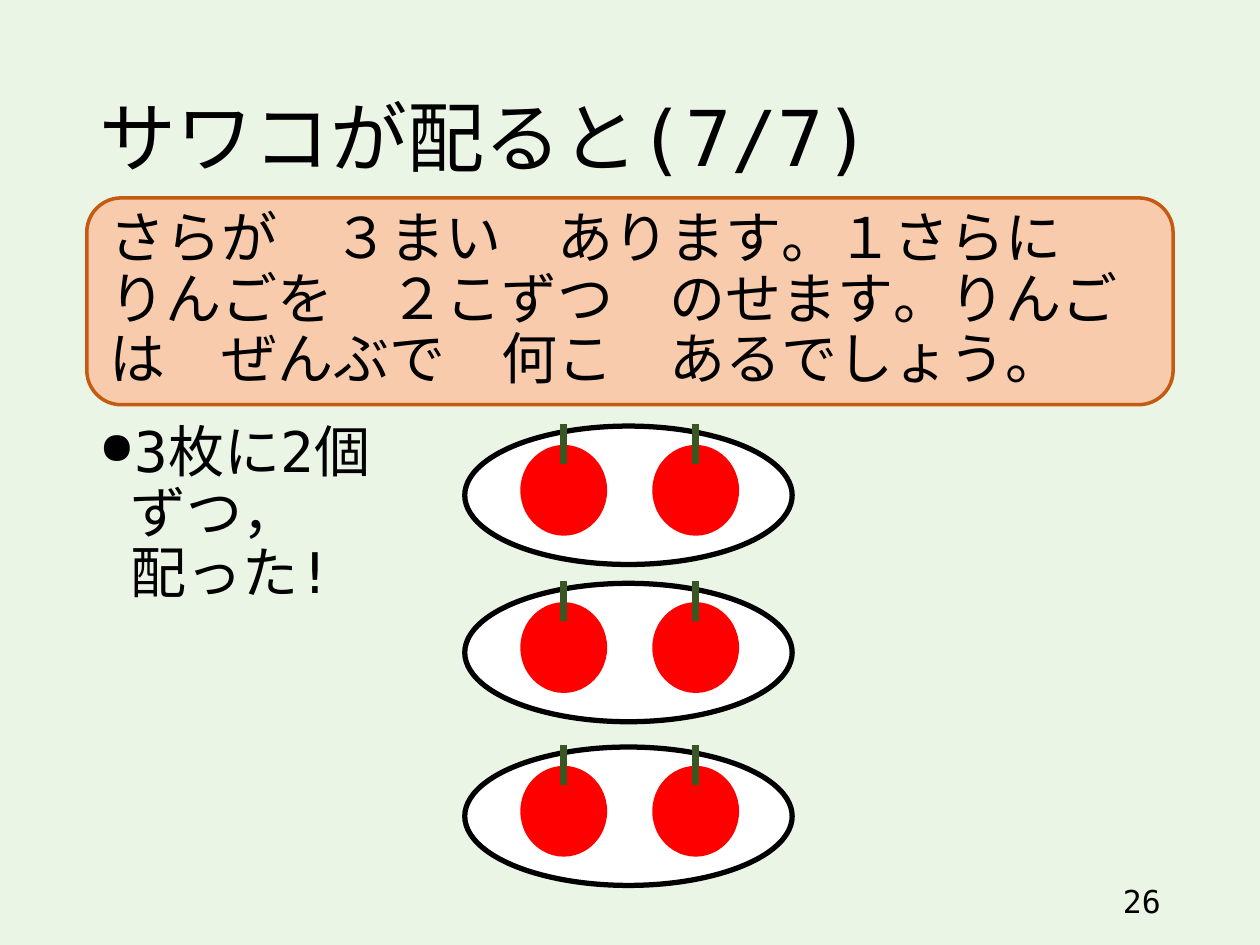
from dataclasses import dataclass

from lxml import etree
from pptx import Presentation
from pptx.dml.color import RGBColor
from pptx.enum.lang import MSO_LANGUAGE_ID
from pptx.enum.shapes import MSO_CONNECTOR, MSO_SHAPE
from pptx.enum.text import MSO_ANCHOR, MSO_AUTO_SIZE, PP_ALIGN
from pptx.oxml.ns import qn
from pptx.util import Cm, Pt

JAPANESE = MSO_LANGUAGE_ID.JAPANESE
STRAIGHT = MSO_CONNECTOR.STRAIGHT
OVAL, ROUNDED = MSO_SHAPE.OVAL, MSO_SHAPE.ROUNDED_RECTANGLE
TOP, MIDDLE = MSO_ANCHOR.TOP, MSO_ANCHOR.MIDDLE
LEFT, RIGHT = PP_ALIGN.LEFT, PP_ALIGN.RIGHT
NO_AUTOFIT = MSO_AUTO_SIZE.NONE
TITLE_ONLY = 5


@dataclass(frozen=True)
class Theme:
    """Colours, font and type sizes of the slide."""
    font: str = "DejaVu Sans Mono"
    background: str = "EBF5E6"
    ink: str = "000000"
    callout: str = "F8CBAD"
    callout_edge: str = "C55A11"
    plate: str = "FFFFFF"
    apple: str = "FF0000"
    stem: str = "385723"
    title_size: int = 44
    body_size: int = 32
    number_size: int = 18


THEME = Theme()


def rgb(value):
    """Return the colour for a hex string."""
    return RGBColor.from_string(value)


def write(tf, text, size, anchor=TOP, align=LEFT, spacing=0.9):
    """Put one formatted paragraph in a text frame and return it."""
    tf.word_wrap = True
    tf.auto_size = NO_AUTOFIT
    tf.vertical_anchor = anchor
    p = tf.paragraphs[0]
    p.text = text
    p.alignment = align
    p.line_spacing = spacing
    for r in p.runs:
        r.font.name = THEME.font
        r.font.size = Pt(size)
        r.font.color.rgb = rgb(THEME.ink)
        r.font.language_id = JAPANESE
        latin = r.font._element.find(qn("a:latin"))
        east_asian = etree.Element(qn("a:ea"), typeface=THEME.font)
        latin.addnext(east_asian)
    return p


def add_bullet(p, indent):
    """Give a paragraph a hanging round bullet."""
    pPr = p._p.get_or_add_pPr()
    pPr.set("marL", str(indent))
    pPr.set("indent", str(-indent))
    etree.SubElement(pPr, qn("a:buSzPct"), val="80000")
    etree.SubElement(pPr, qn("a:buChar"), char="●")


def add_filled(shapes, kind, box, fill, edge=None, width=0):
    """Add a flat shape with an optional outline."""
    sp = shapes.add_shape(kind, *box)
    sp.shadow.inherit = False
    sp.fill.solid()
    sp.fill.fore_color.rgb = rgb(fill)
    if edge:
        sp.line.color.rgb = rgb(edge)
        sp.line.width = Pt(width)
    else:
        sp.line.fill.background()
    return sp


def add_title(slide, box, text):
    """Place and format the title placeholder."""
    title = slide.shapes.title
    title.left, title.top, title.width, title.height = box
    write(title.text_frame, text, THEME.title_size, MIDDLE)


def add_number(slide, box, text):
    """Add the page number."""
    tf = slide.shapes.add_textbox(*box).text_frame
    write(tf, text, THEME.number_size, MIDDLE, RIGHT, 1.0)


def add_problem(slide, box, text):
    """Add the rounded panel with the word problem."""
    sp = add_filled(slide.shapes, ROUNDED, box, THEME.callout,
                    THEME.callout_edge, 2)
    write(sp.text_frame, text, THEME.body_size, MIDDLE)


def add_apple(slide, box):
    """Add a grouped apple with its stem."""
    left, top, _, _ = box
    shapes = slide.shapes.add_group_shape().shapes
    add_filled(shapes, OVAL, box, THEME.apple)
    x, y = left + Cm(0.87), top - Cm(0.43)
    stem = shapes.add_connector(STRAIGHT, x, y, x, y + Cm(0.81))
    stem.line.color.rgb = rgb(THEME.stem)
    stem.line.width = Pt(4)
    etree.SubElement(stem._element.spPr, qn("a:effectLst"))


def add_plate(slide, box):
    """Add a plate holding two apples."""
    left, top, _, _ = box
    add_filled(slide.shapes, OVAL, box, THEME.plate, THEME.ink, 3)
    for dx in (Cm(1.12), Cm(3.78)):
        add_apple(slide, (left + dx, top + Cm(0.38), Cm(1.75), Cm(1.83)))


def add_statement(slide, box, text):
    """Add the bulleted statement."""
    tf = slide.shapes.add_textbox(*box).text_frame
    p = write(tf, text, THEME.body_size)
    add_bullet(p, Cm(0.63))


def main():
    """Build and save the slide."""
    prs = Presentation()
    prs.slide_width, prs.slide_height = Cm(25.4), Cm(19.05)
    slide = prs.slides.add_slide(prs.slide_layouts[TITLE_ONLY])
    slide.background.fill.solid()
    slide.background.fill.fore_color.rgb = rgb(THEME.background)

    left, width = Cm(1.75), Cm(21.9)
    add_title(slide, (left, Cm(1.02), width, Cm(3.68)), "サワコが配ると(7/7)")
    add_number(slide, (Cm(17.93), Cm(17.65), Cm(5.72), Cm(1.02)), "26")
    add_problem(slide, (left, Cm(3.99), width, Cm(4.17)),
                "さらが　３まい　あります。１さらに　りんごを　２こずつ　のせます。"
                "りんごは　ぜんぶで　何こ　あるでしょう。")
    for top in (Cm(15.06), Cm(11.76), Cm(8.59)):
        add_plate(slide, (Cm(9.37), top, Cm(6.6), Cm(2.79)))
    add_statement(slide, (left, Cm(8.43), width, Cm(8.71)),
                  "3枚に2個\vずつ，\v配った!")
    prs.save("out.pptx")


if __name__ == "__main__":
    main()
